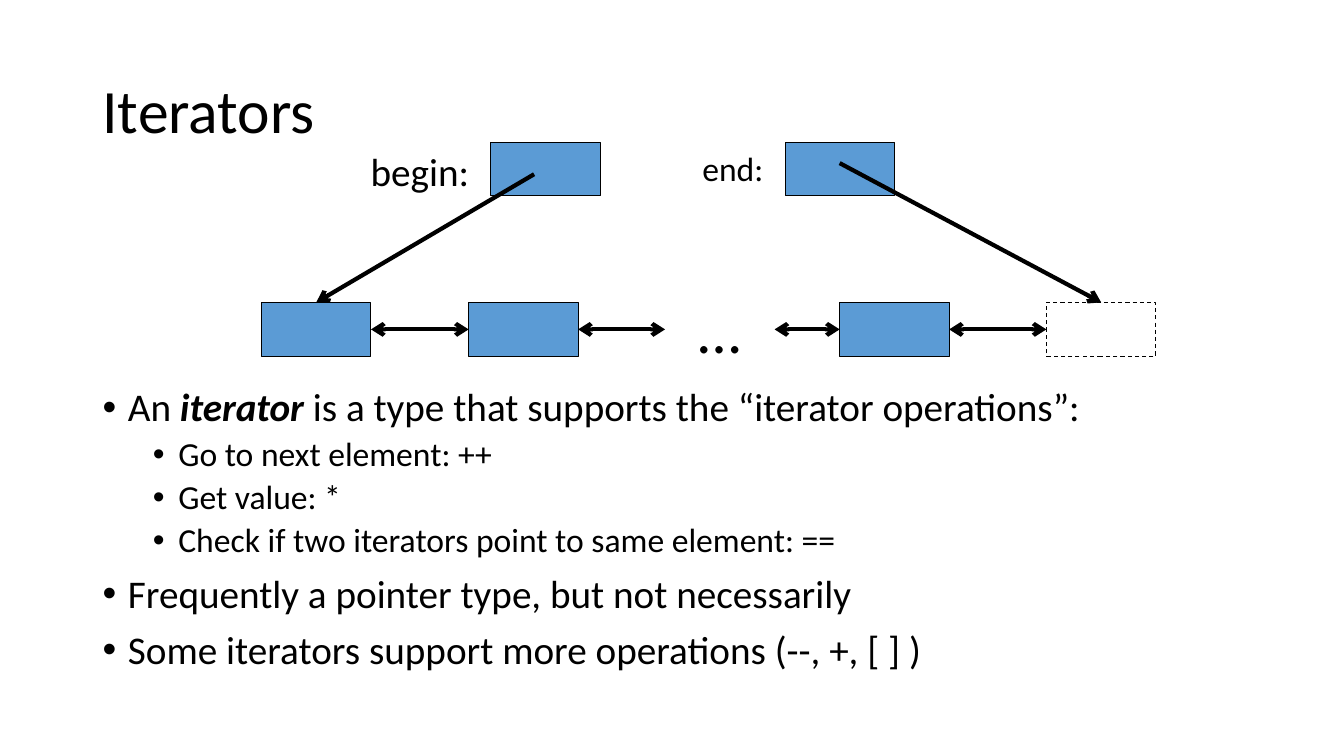
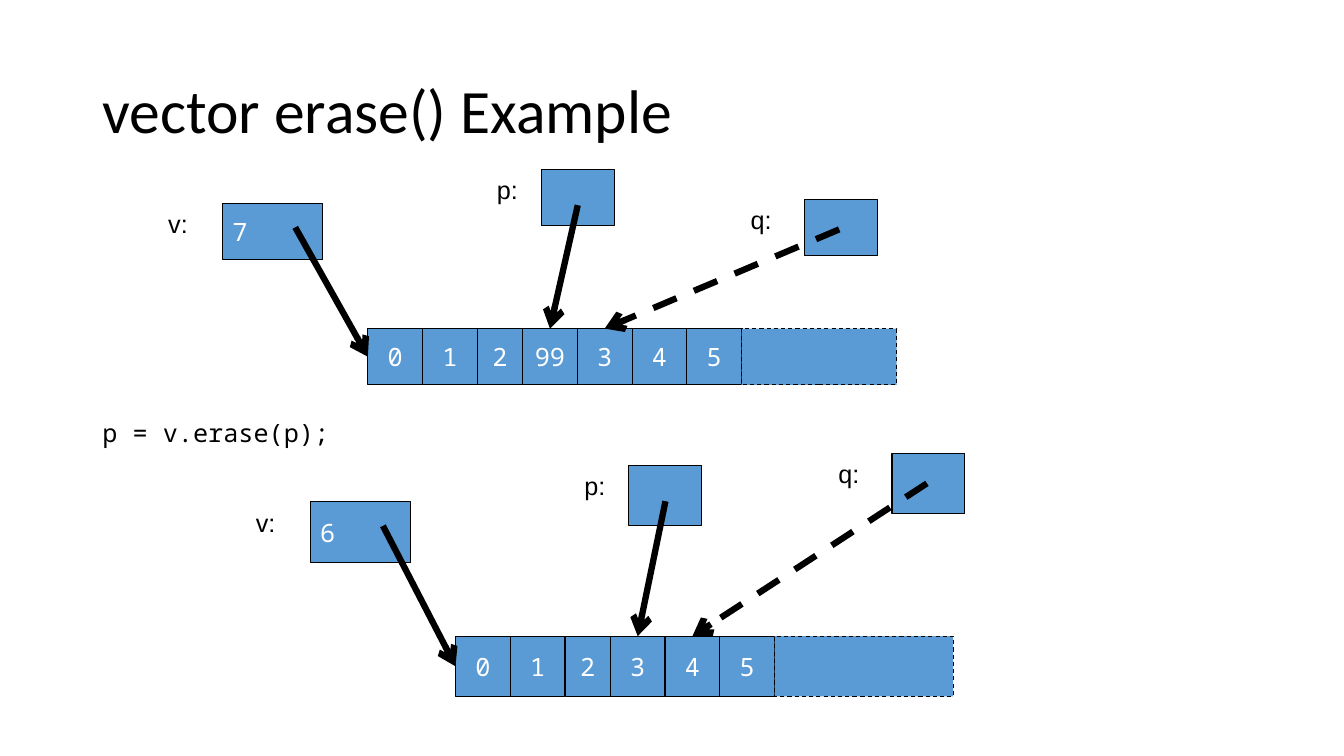
from lxml import etree
from pptx import Presentation
from pptx.dml.color import RGBColor
from pptx.enum import dml, shapes, text
from pptx.oxml import ns
from pptx.util import Cm, Pt

BLACK = RGBColor(0x00, 0x00, 0x00)
WHITE = RGBColor(0xFF, 0xFF, 0xFF)
BLUE = RGBColor(0x5B, 0x9B, 0xD5)
DASH = dml.MSO_LINE.DASH
LEFT, CENTER = text.PP_ALIGN.LEFT, text.PP_ALIGN.CENTER
TOP, MIDDLE = text.MSO_ANCHOR.TOP, text.MSO_ANCHOR.MIDDLE

TITLE = {"name": "Calibri", "size": Pt(44)}
BODY = {"name": "Calibri", "size": Pt(28)}
SUB = {"name": "Calibri", "size": Pt(24)}
LABEL = {"name": "Arial", "size": Pt(18)}
CODE = {"name": "Noto Sans Mono", "size": Pt(18)}


def add_box(s, x, y, w, h, words="", fmt=CODE, fill=BLUE, line=True,
            dash=None, color=WHITE, align=CENTER, anchor=MIDDLE):
    sp = s.shapes.add_shape(shapes.MSO_SHAPE.RECTANGLE, Cm(x), Cm(y), Cm(w), Cm(h))
    sp.shadow.inherit = False
    if fill is None:
        sp.fill.background()
    else:
        sp.fill.solid()
        sp.fill.fore_color.rgb = fill
    if line:
        sp.line.color.rgb = BLACK
        sp.line.width = Pt(0.75)
        sp.line.dash_style = dash
    else:
        sp.line.fill.background()
    if words:
        tf = sp.text_frame
        tf.word_wrap = False
        tf.vertical_anchor = anchor
        p = tf.paragraphs[0]
        p.alignment = align
        r = p.add_run()
        r.text = words
        r.font.color.rgb = color
        for key, value in fmt.items():
            setattr(r.font, key, value)


def add_arrow(s, x1, y1, x2, y2, width, dash=None, ends=("tailEnd",)):
    c = s.shapes.add_connector(shapes.MSO_CONNECTOR.STRAIGHT, Cm(x1), Cm(y1), Cm(x2), Cm(y2))
    c.line.color.rgb = BLACK
    c.line.width = Pt(width)
    c.line.dash_style = dash
    ln = c.line.fill._xPr
    for end in ends:
        etree.SubElement(ln, ns.qn("a:" + end), type="arrow")
    etree.SubElement(ln.getparent(), ns.qn("a:effectLst"))


prs = Presentation()
prs.slide_width, prs.slide_height = Cm(33.87), Cm(19.05)

for layout, heading in ((1, "Iterators"), (5, "vector erase() Example")):
    s = prs.slides.add_slide(prs.slide_layouts[layout])
    sp = s.shapes.title
    sp.left, sp.top, sp.width, sp.height = Cm(2.33), Cm(1.01), Cm(29.21), Cm(3.68)
    tf = sp.text_frame
    tf.vertical_anchor = MIDDLE
    p = tf.paragraphs[0]
    p.alignment = LEFT
    p.line_spacing = 0.9
    r = p.add_run()
    r.text = heading
    r.font.color.rgb = BLACK
    for key, value in TITLE.items():
        setattr(r.font, key, value)

s = prs.slides[0]
sp = s.placeholders[1]
sp.left, sp.top, sp.width, sp.height = Cm(2.33), Cm(9.65), Cm(29.21), Cm(7.5)
tf = sp.text_frame
tf.auto_size = text.MSO_AUTO_SIZE.NONE
bullets = [
    (0, ["An ", "iterator", " is a type that supports the “iterator operations”:"]),
    (1, ["Go to next element: ++"]),
    (1, ["Get value: *"]),
    (1, ["Check if two iterators point to same element: =="]),
    (0, ["Frequently a pointer type, but not necessarily"]),
    (0, ["Some iterators support more operations (--, +, [ ] )"]),
]
for i, (level, parts) in enumerate(bullets):
    p = tf.add_paragraph() if i else tf.paragraphs[0]
    p.level = level
    p.line_spacing = 0.9
    p.space_before = Pt((5 if level else 10) if i else 0)
    pPr = p._p.get_or_add_pPr()
    pPr.set("marL", str(Cm(0.64 + 1.27 * level)))
    pPr.set("indent", str(-Cm(0.64)))
    etree.SubElement(pPr, ns.qn("a:buFont"), typeface="Arial")
    etree.SubElement(pPr, ns.qn("a:buChar"), char="•")
    for part in parts:
        r = p.add_run()
        r.text = part
        r.font.color.rgb = BLACK
        if part == "iterator":
            r.font.bold = r.font.italic = True
        for key, value in (SUB if level else BODY).items():
            setattr(r.font, key, value)

node_w, node_h, node_y = 2.76, 1.36, 7.62
node_xs = [6.59, 11.81, 16.76, 21.16, 26.37]
for i, x in enumerate(node_xs):
    if i == 2:
        add_box(s, x, node_y, node_w, node_h, "…", TITLE, None, line=False, color=BLACK)
    elif i == 4:
        add_box(s, x, node_y, node_w, node_h, fill=None, dash=DASH)
    else:
        add_box(s, x, node_y, node_w, node_h)
link_y = node_y + node_h / 2
for x, following in zip(node_xs, node_xs[1:]):
    add_arrow(s, x + node_w, link_y, following, link_y, 3, ends=("headEnd", "tailEnd"))

iterators = [
    ("begin:", BODY, 9.09, 12.37, 13.46, 4.39, node_xs[0]),
    ("end:", SUB, 17.45, 19.79, 21.16, 4.11, node_xs[-1]),
]
for name, fmt, label_x, x, start_x, start_y, target_x in iterators:
    add_box(s, label_x, 3.6, 3.58, 1.4, name, fmt, None, line=False,
            color=BLACK, align=LEFT, anchor=TOP)
    add_box(s, x, 3.58, node_w, node_h)
    add_arrow(s, start_x, start_y, target_x + node_w / 2, node_y, 3)

s = prs.slides[1]
add_box(s, 2.33, 10.39, 6.63, 1.02, "p = v.erase(p);", CODE, None, line=False,
        color=BLACK, align=LEFT)

cell_w, narrow_w = 1.38, 1.14
states = [
    (9.27, 8.28, 1.42, ["0", "1", "2", "99", "3", "4", "5"], 3.91, "7", (5.13, 4.27, 5.03)),
    (11.48, 16.03, 1.52, ["0", "1", "2", "3", "4", "5"], 4.5, "6", (12.65, 11.73, 11.43)),
]
pointers = [
    ("v:", -5.28, -3.66, 2.53, 1.83, 0.6, None, None),
    ("p:", 3.0, 4.37, 1.84, 0.92, 0.9, 3, None),
    ("q:", 9.4, 11.0, 1.84, 0.88, 0.75, 4, DASH),
]
for row_x, row_y, h, values, spare_w, count, tops in states:
    x, centers = row_x, []
    for i, value in enumerate(values):
        w = narrow_w if i == 2 else cell_w
        add_box(s, x, row_y, w, h, value)
        centers.append(x + w / 2)
        x += w
    add_box(s, x, row_y, spare_w, h, dash=DASH)
    for (name, label_dx, dx, w, start_dx, start_dy, target, dash), y in zip(pointers, tops):
        add_box(s, row_x + label_dx, y, 1.5, h, name, LABEL, None, line=False,
                color=BLACK, align=LEFT, anchor=TOP)
        add_box(s, row_x + dx, y, w, h, count if target is None else "", align=LEFT)
        end = (row_x, row_y + h / 2) if target is None else (centers[target], row_y)
        add_arrow(s, row_x + dx + start_dx, y + start_dy, *end, 4.5, dash)

prs.save("out.pptx")
